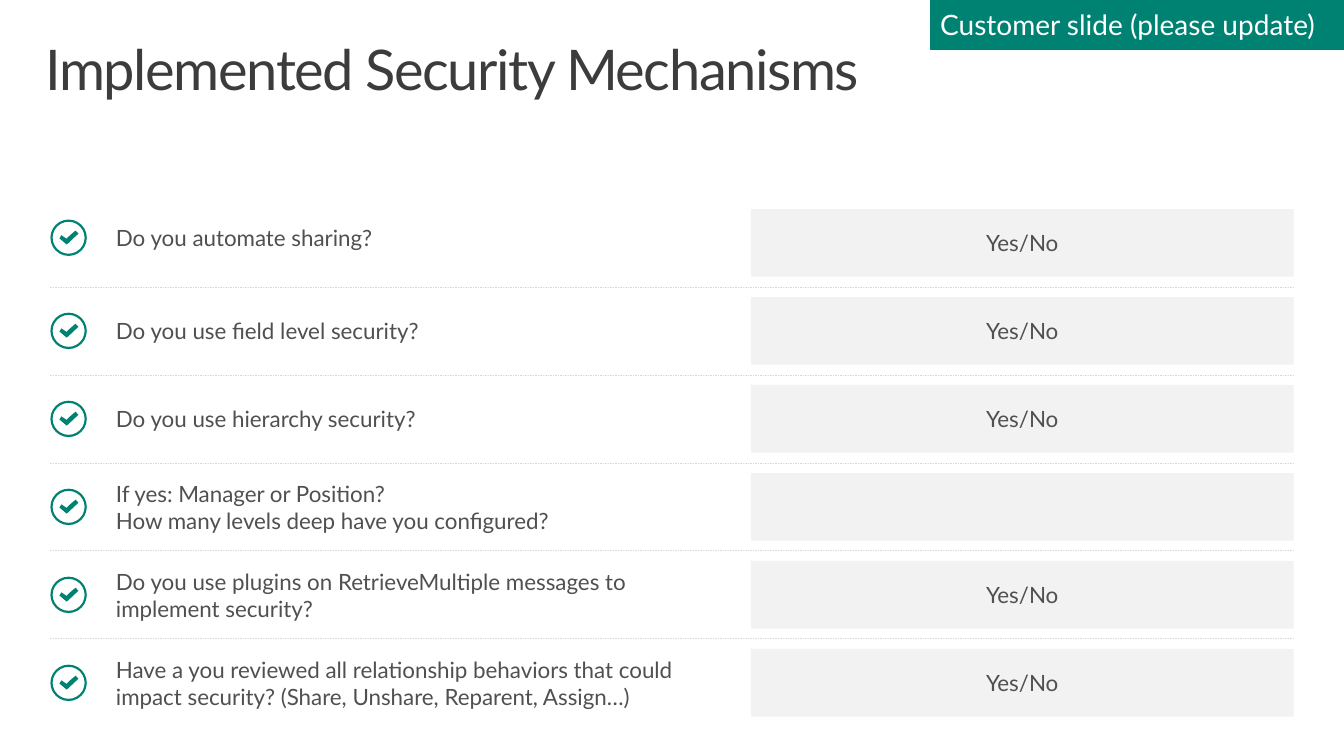
from lxml import etree
from pptx import Presentation
from pptx.dml.color import RGBColor
from pptx.enum.dml import MSO_LINE
from pptx.enum.shapes import MSO_CONNECTOR, MSO_SHAPE
from pptx.enum.text import MSO_ANCHOR, MSO_AUTO_SIZE, PP_ALIGN
from pptx.oxml.ns import qn
from pptx.util import Pt

GREEN, GREY, DARK = "008272", "F2F2F2", "505050"
LEFT, RIGHT = 36, 924
PITCH = 62.85
QUESTIONS = [
    ("Do you automate sharing?", "Yes/No"),
    ("Do you use field level security?", "Yes/No"),
    ("Do you use hierarchy security?", "Yes/No"),
    ("If yes: Manager or Position? \vHow many levels deep have you configured?", ""),
    ("Do you use plugins on RetrieveMultiple messages to implement security?", "Yes/No"),
    ("Have a you reviewed all relationship behaviors that could impact security? "
     "(Share, Unshare, Reparent, Assign…)", "Yes/No"),
]
# Check mark outline in tenths of a point, from the icon's corner
CHECK = [(180, 79), (147, 107), (115, 137), (79, 112), (65, 135), (108, 171),
         (115, 178), (130, 168), (165, 134), (201, 101)]


def paint(sp, color):
    sp.shadow.inherit = False
    sp.fill.solid()
    sp.fill.fore_color.rgb = RGBColor.from_string(color)
    sp.line.fill.background()


def write(sp, text, size, color, align=PP_ALIGN.LEFT, anchor=MSO_ANCHOR.MIDDLE):
    tf = sp.text_frame
    tf.word_wrap = True
    tf.auto_size = MSO_AUTO_SIZE.NONE
    tf.vertical_anchor = anchor
    p = tf.paragraphs[0]
    p.text = text
    p.alignment = align
    for r in p.runs:
        r.font.name = "Lato"
        r.font.size = Pt(size)
        r.font.color.rgb = RGBColor.from_string(color)


prs = Presentation()
prs.slide_width, prs.slide_height = Pt(960), Pt(540)
s = prs.slides.add_slide(prs.slide_layouts[5])

# Title
title = s.shapes.title
title.left, title.top, title.width, title.height = Pt(21), Pt(23), Pt(918), Pt(70.5)
write(title, "Implemented Security Mechanisms", 40, "3C3C3C", anchor=MSO_ANCHOR.TOP)
tf = title.text_frame
tf.margin_left = tf.margin_right = Pt(11.5)
tf.margin_top = tf.margin_bottom = Pt(7.2)
p = tf.paragraphs[0]
p.line_spacing = 0.9
p.runs[0].font._element.set("spc", "-100")

# Dotted dividers between the rows
for i in range(len(QUESTIONS) - 1):
    y = Pt(204.8 + i * PITCH)
    line = s.shapes.add_connector(MSO_CONNECTOR.STRAIGHT, Pt(LEFT), y, Pt(RIGHT), y)
    line.line.color.rgb = RGBColor.from_string("D9D9D9")
    line.line.width = Pt(0.25)
    line.line.dash_style = MSO_LINE.DASH
    etree.SubElement(line._element.spPr, qn("a:effectLst"))

# Question rows: text, icon and answer box
for i, (question, answer) in enumerate(QUESTIONS):
    answer_top = 149.3 + i * PITCH
    top = answer_top if i == 0 else answer_top + 3.7

    sp = s.shapes.add_textbox(Pt(39.6), Pt(top), Pt(486), Pt(41))
    write(sp, question, 16, DARK)
    sp.text_frame.margin_left = Pt(43.2)

    ring = s.shapes.add_shape(MSO_SHAPE.DONUT, Pt(LEFT), Pt(top + 7.5), Pt(26), Pt(26))
    ring.adjustments[0] = 0.06
    paint(ring, GREEN)

    builder = s.shapes.build_freeform(*CHECK[0], scale=Pt(0.1))
    builder.add_line_segments(CHECK[1:], close=True)
    paint(builder.convert_to_shape(Pt(LEFT), Pt(top + 7.5)), GREEN)

    box = s.shapes.add_shape(MSO_SHAPE.RECTANGLE, Pt(536.4), Pt(answer_top),
                             Pt(RIGHT - 536.4), Pt(48.4))
    paint(box, GREY)
    if answer:
        write(box, answer, 16, DARK, PP_ALIGN.CENTER)

# Corner banner
banner = s.shapes.add_shape(MSO_SHAPE.RECTANGLE, Pt(664.5), Pt(0), Pt(295.5), Pt(35))
paint(banner, GREEN)
banner.line.color.rgb = RGBColor.from_string(GREEN)
banner.line.width = Pt(0.25)
write(banner, "Customer slide (please update)", 20, "FFFFFF")

prs.save("out.pptx")
